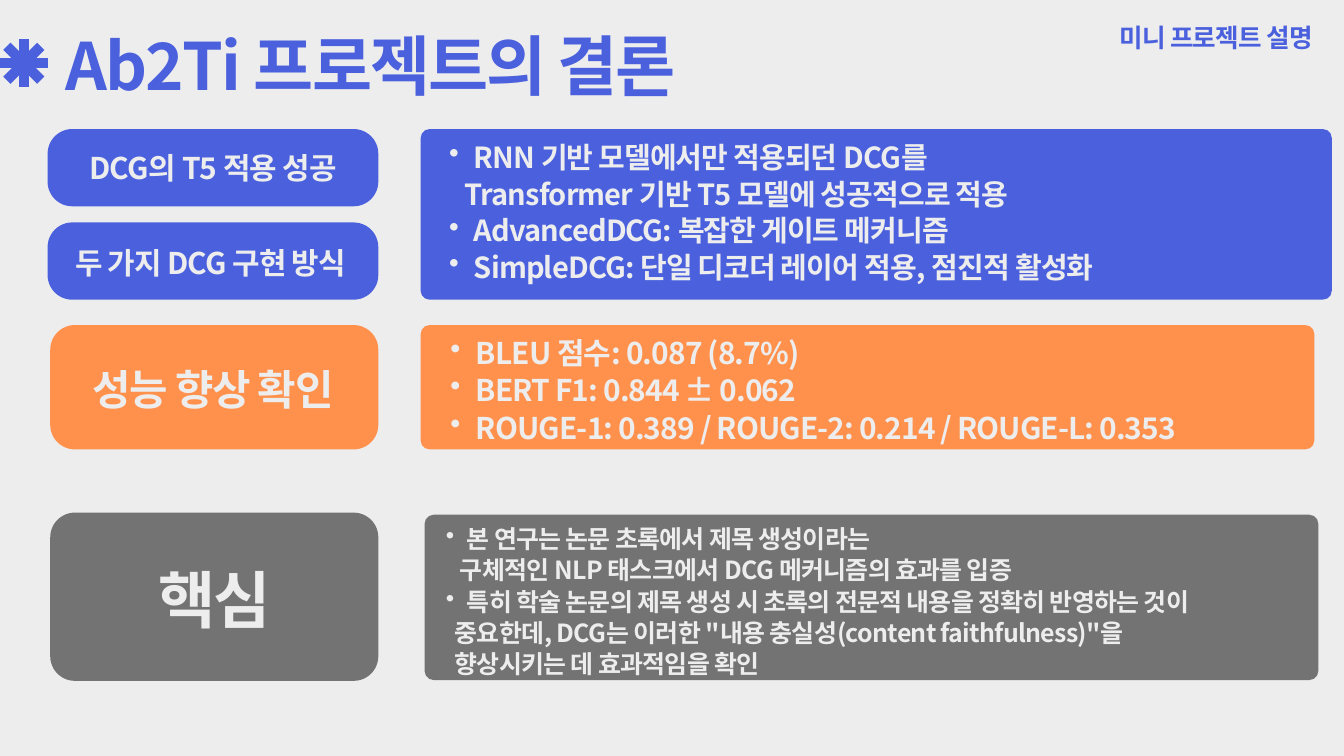
from lxml import etree
from pptx import Presentation
from pptx.dml.color import RGBColor
from pptx.enum import shapes, text
from pptx.oxml import ns
from pptx.util import Cm, Pt

BLUE = RGBColor(0x4A, 0x60, 0xDD)
ORANGE = RGBColor(0xFF, 0x91, 0x4D)
GRAY = RGBColor(0x73, 0x73, 0x73)
PALE = RGBColor(0xED, 0xED, 0xEE)
FACE = "Noto Sans CJK KR"

deck = Presentation()
deck.slide_width, deck.slide_height = Cm(50.8), Cm(28.58)
slide = deck.slides.add_slide(deck.slide_layouts[6])
slide.background.fill.solid()
slide.background.fill.fore_color.rgb = PALE


def write(rows, at, size, lead, color=PALE, gap=-1, align=text.PP_ALIGN.LEFT, hang=0):
    box = slide.shapes.add_textbox(*map(Cm, at))
    frame = box.text_frame
    frame.margin_left = frame.margin_right = 0
    frame.margin_top = frame.margin_bottom = 0
    frame.word_wrap = True
    frame.auto_size = text.MSO_AUTO_SIZE.SHAPE_TO_FIT_TEXT
    for i, (words, left) in enumerate(rows):
        para = frame.add_paragraph() if i else frame.paragraphs[0]
        para.alignment = align
        para.line_spacing = Pt(lead)
        props = para._p.get_or_add_pPr()
        if left is None:
            props.set("marL", str(Cm(2 * hang)))
            props.set("indent", str(Cm(-hang)))
            etree.SubElement(props, ns.qn("a:buChar"), char="•")
        else:
            props.set("marL", str(Cm(left)))
        run = para.add_run()
        run.text = words
        font = run.font
        font.name, font.size, font.bold = FACE, Pt(size), True
        font.color.rgb = color
        mark = run._r.get_or_add_rPr()
        mark.set("spc", str(round(gap * 100)))
        etree.SubElement(mark, ns.qn("a:ea"), typeface=FACE)


mid, high = 0.9, 2.39
for dx, dy in [(0.9, 0), (0, 0.9), (0.64, 0.64), (0.64, -0.64)]:
    ray = slide.shapes.add_connector(
        shapes.MSO_CONNECTOR.STRAIGHT,
        Cm(mid - dx), Cm(high - dy), Cm(mid + dx), Cm(high + dy))
    ray.line.color.rgb = BLUE
    ray.line.width = Pt(11)
    etree.SubElement(ray._element.spPr, ns.qn("a:effectLst"))

for x, y, wide, tall, curve, color in [
    (1.8, 4.88, 12.5, 2.92, 0.93, BLUE),
    (1.8, 8.41, 12.5, 2.92, 0.93, BLUE),
    (15.9, 4.88, 34.44, 6.45, 0.34, BLUE),
    (1.9, 12.29, 12.4, 4.7, 0.93, ORANGE),
    (15.9, 12.29, 33.78, 4.7, 0.34, ORANGE),
    (1.9, 19.38, 12.4, 6.36, 0.93, GRAY),
    (16.05, 19.46, 33.78, 6.25, 0.34, GRAY),
]:
    card = slide.shapes.add_shape(
        shapes.MSO_SHAPE.ROUNDED_RECTANGLE, Cm(x), Cm(y), Cm(wide), Cm(tall))
    card.adjustments[0] = curve / tall
    card.shadow.inherit = False
    card.fill.solid()
    card.fill.fore_color.rgb = color
    card.line.fill.background()

write([("Ab2Ti 프로젝트의 결론", 0)], (2.49, 0.79, 42.6, 3.07),
      size=70, lead=88.2, color=BLUE, gap=-2.1)
write([("미니 프로젝트 설명", 0)], (42.32, 1.02, 7.52, 1.02),
      size=27.4, lead=27.4, color=BLUE, gap=-0.8)

CENTER = text.PP_ALIGN.CENTER
write([("DCG의 T5 적용 성공", 0)], (0.58, 5.61, 14.94, 1.4),
      size=32, lead=40.3, align=CENTER)
write([("두 가지 DCG 구현 방식", 0)], (2.84, 9.19, 14.94, 1.4), size=32, lead=40.3)
write([("성능 향상 확인", 0)], (2.67, 13.64, 10.77, 1.98),
      size=44.8, lead=56.5, gap=-1.3, align=CENTER)
write([("핵심", 0)], (2.72, 21.08, 10.77, 2.87),
      size=66.7, lead=84, gap=-2, align=CENTER)

write([
    ("RNN 기반 모델에서만 적용되던 DCG를", None),
    ("Transformer 기반 T5 모델에 성공적으로 적용", 1.52),
    ("AdvancedDCG: 복잡한 게이트 메커니즘", None),
    ("SimpleDCG: 단일 디코더 레이어 적용, 점진적 활성화", None),
], (16.05, 5.21, 33.78, 6.81), size=31.1, lead=39.2, gap=-0.9, hang=0.93)
write([
    ("BLEU 점수: 0.087 (8.7%)", None),
    ("BERT F1: 0.844 ± 0.062", None),
    ("ROUGE-1: 0.389 / ROUGE-2: 0.214 / ROUGE-L: 0.353", None),
], (16.05, 12.57, 33.48, 5.59), size=32, lead=40.3, hang=0.97)
write([
    ("본 연구는 논문 초록에서 제목 생성이라는", None),
    ("구체적인 NLP 태스크에서 DCG 메커니즘의 효과를 입증", 1.33),
    ("특히 학술 논문의 제목 생성 시 초록의 전문적 내용을 정확히 반영하는 것이", None),
    ('중요한데, DCG는 이러한 "내용 충실성(content faithfulness)"을', 1.14),
    ("향상시키는 데 효과적임을 확인", 1.14),
], (16.05, 19.74, 31.88, 5.84), size=26.7, lead=33.6, gap=-0.8, hang=0.8)

deck.save("out.pptx")
